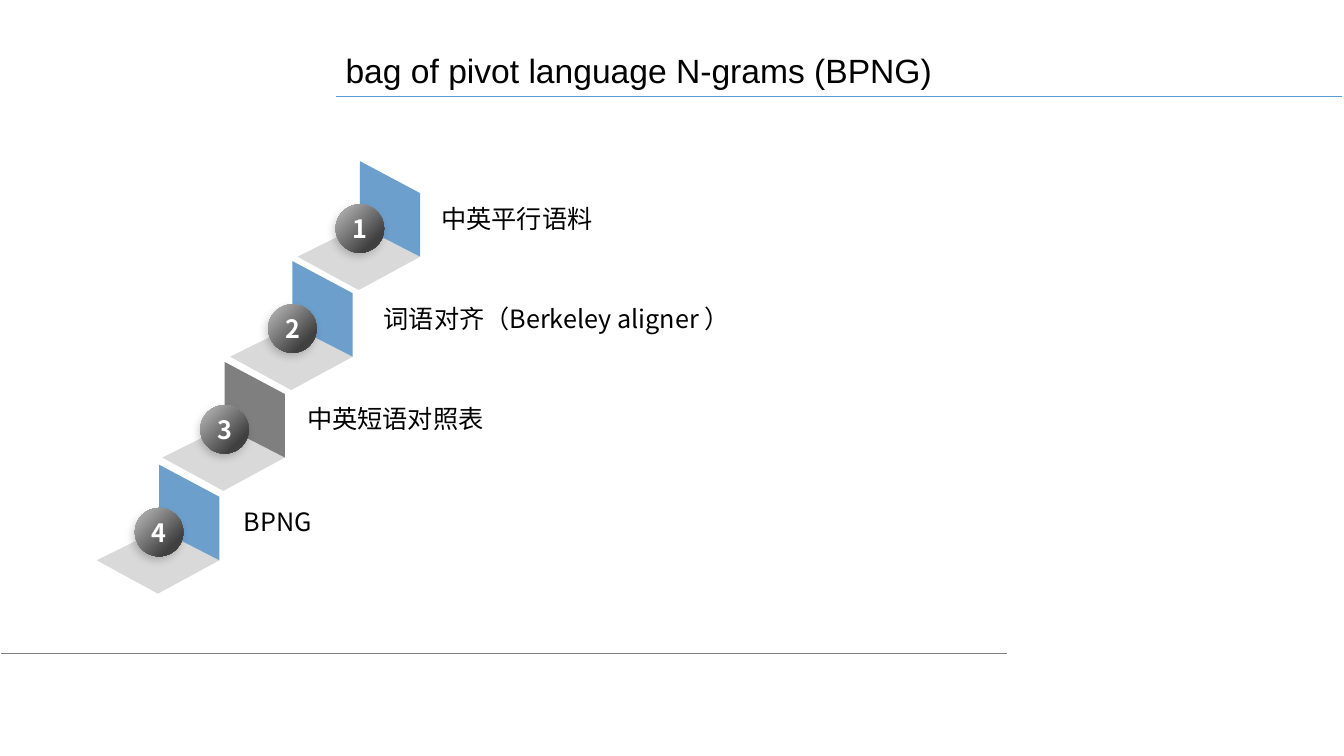
from copy import deepcopy

from lxml import etree
from pptx import Presentation
from pptx import util as u
from pptx.dml import color
from pptx.enum import shapes, text
from pptx.oxml import ns

FLOOR = [(-0.03, 3.25), (-1.57, 2.41), (0, 1.63), (1.52, 2.41)]
WALL = [(1.52, 2.41), (0, 1.63), (0, 0), (1.52, 0.81)]
STEPS = [
    ("4", 4.01, 11.71, "6D9FCC", "BPNG", 5.89),
    ("3", 5.66, 9.12, "7F7F7F", "中英短语对照表", 7.49),
    ("2", 7.37, 6.58, "6D9FCC", "词语对齐（Berkeley aligner ）", 9.42),
    ("1", 9.07, 4.06, "6D9FCC", "中英平行语料", 10.87),
]


def rgb(code):
    return color.RGBColor.from_string(code)


def child(node, tag, **attrs):
    return etree.SubElement(node, ns.qn(tag), attrs)


class Deck:
    font = "Noto Sans CJK SC"
    size = 18
    grey = "D9D9D9"
    metal = [(0, "808080"), (0.15, "A6A6A6"), (0.78, "404040")]

    def __init__(self, slide):
        self.slide = slide

    def label(self, home, words, box, ink="000000", bold=False, font=None, size=None):
        shape = home.add_textbox(*map(u.Cm, box))
        frame = shape.text_frame
        frame.word_wrap = True
        frame.auto_size = text.MSO_AUTO_SIZE.SHAPE_TO_FIT_TEXT
        frame.text = words
        run = frame.paragraphs[0].runs[0]
        run.font.name = font or self.font
        run.font.size = u.Pt(size or self.size)
        run.font.bold = bold
        run.font.color.rgb = rgb(ink)
        child(run.font._element, "a:ea", typeface=font or self.font)

    def panel(self, home, x, y, points, fill):
        spots = [(u.Cm(x + dx), u.Cm(y + dy)) for dx, dy in points]
        path = home.build_freeform(*spots[0])
        path.add_line_segments(spots[1:], close=True)
        shape = path.convert_to_shape()
        shape.shadow.inherit = False
        shape.fill.solid()
        shape.fill.fore_color.rgb = rgb(fill)
        shape.line.fill.background()

    def ball(self, home, x, y, size):
        shape = home.add_shape(
            shapes.MSO_SHAPE.OVAL, u.Cm(x), u.Cm(y), u.Cm(size), u.Cm(size))
        shape.line.fill.background()
        shape.fill.gradient()
        shape.fill.gradient_angle = 315
        stops = shape._element.spPr.find(".//" + ns.qn("a:gsLst"))
        stops.append(deepcopy(stops[-1]))
        for stop, (place, code) in zip(shape.fill.gradient_stops, self.metal):
            stop.position = place
            stop.color.rgb = rgb(code)
        shape.shadow.inherit = False
        effects = shape._element.spPr.find(ns.qn("a:effectLst"))
        shade = child(effects, "a:outerShdw", blurRad=str(u.Pt(6)),
                      dist=str(u.Pt(3)), dir=str(116 * 60000), rotWithShape="0")
        tint = child(shade, "a:srgbClr", val="000000")
        child(tint, "a:alpha", val="20000")

    def rule(self, start, end, y, ink):
        line = self.slide.shapes.add_connector(
            shapes.MSO_CONNECTOR.STRAIGHT, u.Cm(start), u.Cm(y), u.Cm(end), u.Cm(y))
        line.line.color.rgb = rgb(ink)
        line.line.width = u.Pt(0.5)
        child(line._element.spPr, "a:effectLst")

    def step(self, digit, x, y, fill):
        home = self.slide.shapes.add_group_shape().shapes
        self.panel(home, x, y, FLOOR, self.grey)
        self.panel(home, x, y, WALL, fill)
        self.ball(home, x - 0.61, y + 1.09, 1.22)
        self.label(home, digit, (x - 0.43, y + 1.19, 0.89, 1.02), "FFFFFF", True)


def main():
    show = Presentation()
    show.slide_width = u.Cm(33.87)
    show.slide_height = u.Cm(19.05)
    slide = show.slides.add_slide(show.slide_layouts[6])
    deck = Deck(slide)
    for digit, x, y, fill, words, left in STEPS:
        deck.step(digit, x, y, fill)
        deck.label(slide.shapes, words, (left, y + 0.93, 20.73, 1.02))
    deck.rule(33.83, 8.48, 2.43, "5B9BD5")
    deck.rule(25.37, 0.03, 16.46, "7F7F7F")
    deck.label(slide.shapes, "bag of pivot language N-grams (BPNG)",
               (8.46, 1.14, 24.61, 1.27), font="Arial", size=24)
    show.save("out.pptx")


if __name__ == "__main__":
    main()
